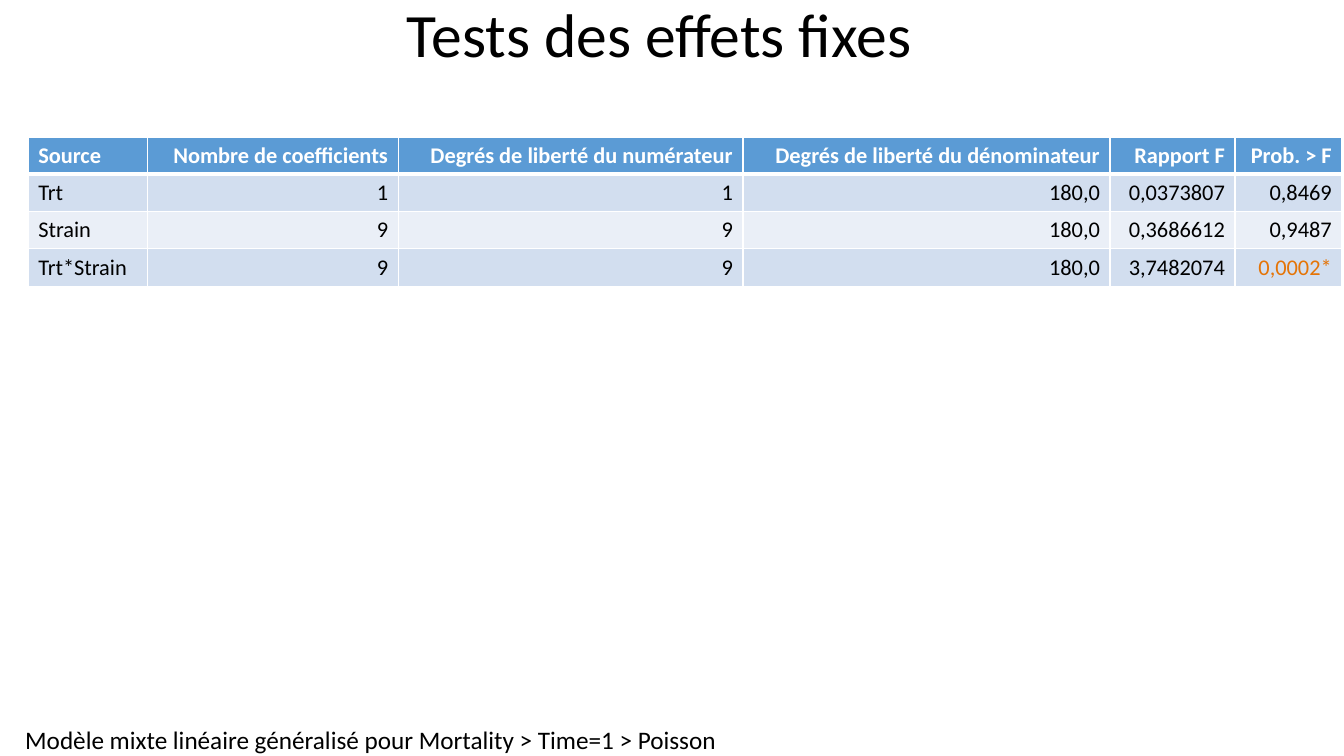
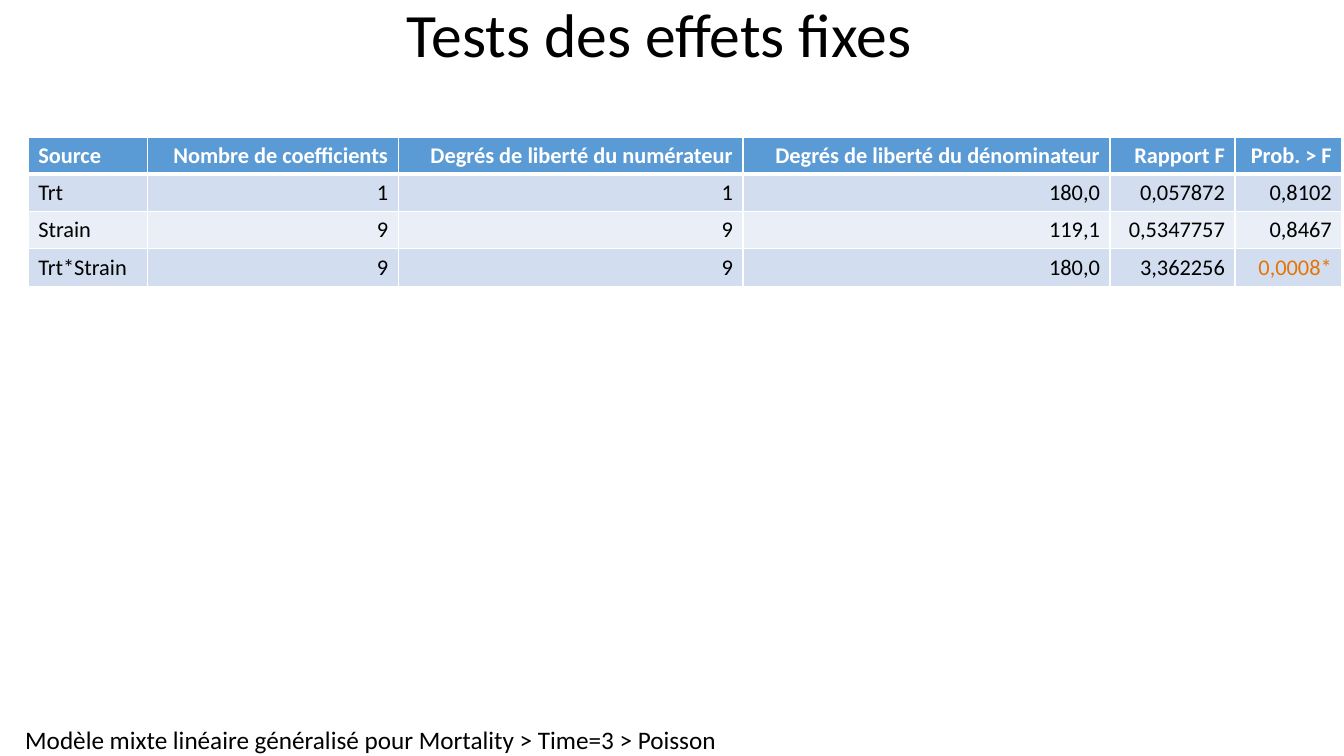
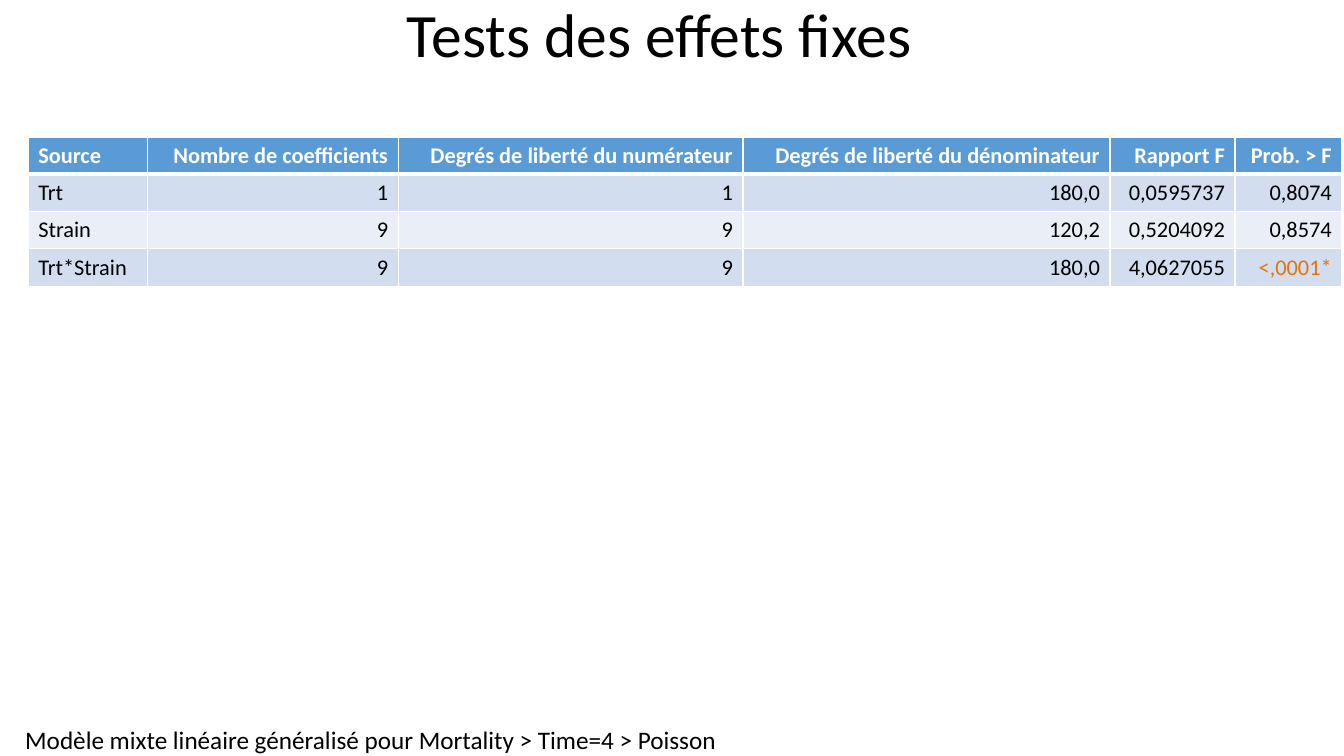
from lxml import etree
from pptx import Presentation
from pptx.dml.color import RGBColor
from pptx.enum.text import MSO_ANCHOR, MSO_AUTO_SIZE, PP_ALIGN
from pptx.oxml.ns import qn
from pptx.util import Emu, Pt

LEFT, CENTER, RIGHT = PP_ALIGN.LEFT, PP_ALIGN.CENTER, PP_ALIGN.RIGHT
MIDDLE = MSO_ANCHOR.MIDDLE
FIXED, GROW = MSO_AUTO_SIZE.NONE, MSO_AUTO_SIZE.SHAPE_TO_FIT_TEXT

EMU_PER_PX = 9144
TITLE_ONLY = 5
FONT = "Calibri"
BLACK, WHITE = "000000", "FFFFFF"
HEADER_BLUE, BAND_DARK, BAND_LIGHT = "5B9BD5", "D2DEEF", "EAEFF7"
SIGNIFICANT = "E57406"

SLIDE_SIZE = (1333, 750)
TITLE_BOX = (0, 0, 1308, 75)
TABLE_BOX = (28, 136, 1303, 148)
MODEL_BOX = (25, 719, 688, 31)
COLUMN_WIDTHS = (118, 249, 342, 364, 124, 106)

TITLE = "Tests des effets fixes"
HEADINGS = ("Source", "Nombre de coefficients", "Degrés de liberté du numérateur",
            "Degrés de liberté du dénominateur", "Rapport F", "Prob. > F")
EFFECTS = (("Trt", "1", "1"), ("Strain", "9", "9"), ("Trt*Strain", "9", "9"))
RESULTS_BY_TIME = {
    1: (("180,0", "0,0373807", "0,8469"),
        ("180,0", "0,3686612", "0,9487"),
        ("180,0", "3,7482074", "0,0002*")),
    3: (("180,0", "0,057872", "0,8102"),
        ("119,1", "0,5347757", "0,8467"),
        ("180,0", "3,362256", "0,0008*")),
    4: (("180,0", "0,0595737", "0,8074"),
        ("120,2", "0,5204092", "0,8574"),
        ("180,0", "4,0627055", "<,0001*")),
}


def px(length):
    """Turn a length in px into EMU."""
    return Emu(length * EMU_PER_PX)


def rgb(color):
    """Turn a hex string into a colour."""
    return RGBColor.from_string(color)


def write(frame, text, size=16, color=BLACK, bold=False, align=LEFT, spacing=None):
    """Put one formatted paragraph into a text frame."""
    paragraph = frame.paragraphs[0]
    paragraph.alignment = align
    paragraph.line_spacing = spacing
    run = paragraph.add_run()
    run.text = text
    run.font.name = FONT
    run.font.size = Pt(size)
    run.font.bold = bold
    run.font.color.rgb = rgb(color)


def add_border(cell, side, width):
    """Draw a white border on one side of a cell."""
    line = etree.SubElement(cell._tc.get_or_add_tcPr(), qn(f"a:ln{side}"), w=str(Pt(width)))
    fill = etree.SubElement(line, qn("a:solidFill"))
    etree.SubElement(fill, qn("a:srgbClr"), val=WHITE)


def format_cell(cell, row, column, text):
    """Fill, border and write one cell according to its place."""
    heading = row == 0
    widths = {"L": 1, "R": 1, "T": 3 if row == 1 else 1, "B": 3 if heading else 1}
    for side, width in widths.items():
        add_border(cell, side, width)
    cell.fill.solid()
    cell.fill.fore_color.rgb = rgb(
        HEADER_BLUE if heading else BAND_DARK if row % 2 else BAND_LIGHT)
    color = WHITE if heading else SIGNIFICANT if text.endswith("*") else BLACK
    write(cell.text_frame, text, color=color, bold=heading,
          align=RIGHT if column else LEFT)


def add_title(slide, box):
    """Place the shared title."""
    title = slide.shapes.title
    title.left, title.top, title.width, title.height = map(px, box)
    frame = title.text_frame
    frame.auto_size = FIXED
    frame.vertical_anchor = MIDDLE
    write(frame, TITLE, size=44, align=CENTER, spacing=0.9)


def add_effects_table(slide, box, results):
    """Place the table of fixed-effect tests."""
    rows = [HEADINGS] + [effect + result for effect, result in zip(EFFECTS, results)]
    table = slide.shapes.add_table(len(rows), len(HEADINGS), *map(px, box)).table
    for column, width in zip(table.columns, COLUMN_WIDTHS):
        column.width = px(width)
    for row, texts in enumerate(rows):
        for column, text in enumerate(texts):
            format_cell(table.cell(row, column), row, column, text)


def add_model_note(slide, box, time):
    """Place the line that names the fitted model."""
    frame = slide.shapes.add_textbox(*map(px, box)).text_frame
    frame.margin_left = frame.margin_top = frame.margin_right = frame.margin_bottom = 0
    frame.word_wrap = False
    frame.auto_size = GROW
    write(frame, f"Modèle mixte linéaire généralisé pour Mortality > Time={time} > Poisson",
          size=18)


def add_tests_slide(deck, time, results):
    """Build the slide of tests for one time."""
    slide = deck.slides.add_slide(deck.slide_layouts[TITLE_ONLY])
    add_model_note(slide, MODEL_BOX, time)
    add_title(slide, TITLE_BOX)
    add_effects_table(slide, TABLE_BOX, results)


def main():
    """Build and save the presentation."""
    deck = Presentation()
    deck.slide_width, deck.slide_height = map(px, SLIDE_SIZE)
    for time, results in RESULTS_BY_TIME.items():
        add_tests_slide(deck, time, results)
    deck.save("out.pptx")


if __name__ == "__main__":
    main()
